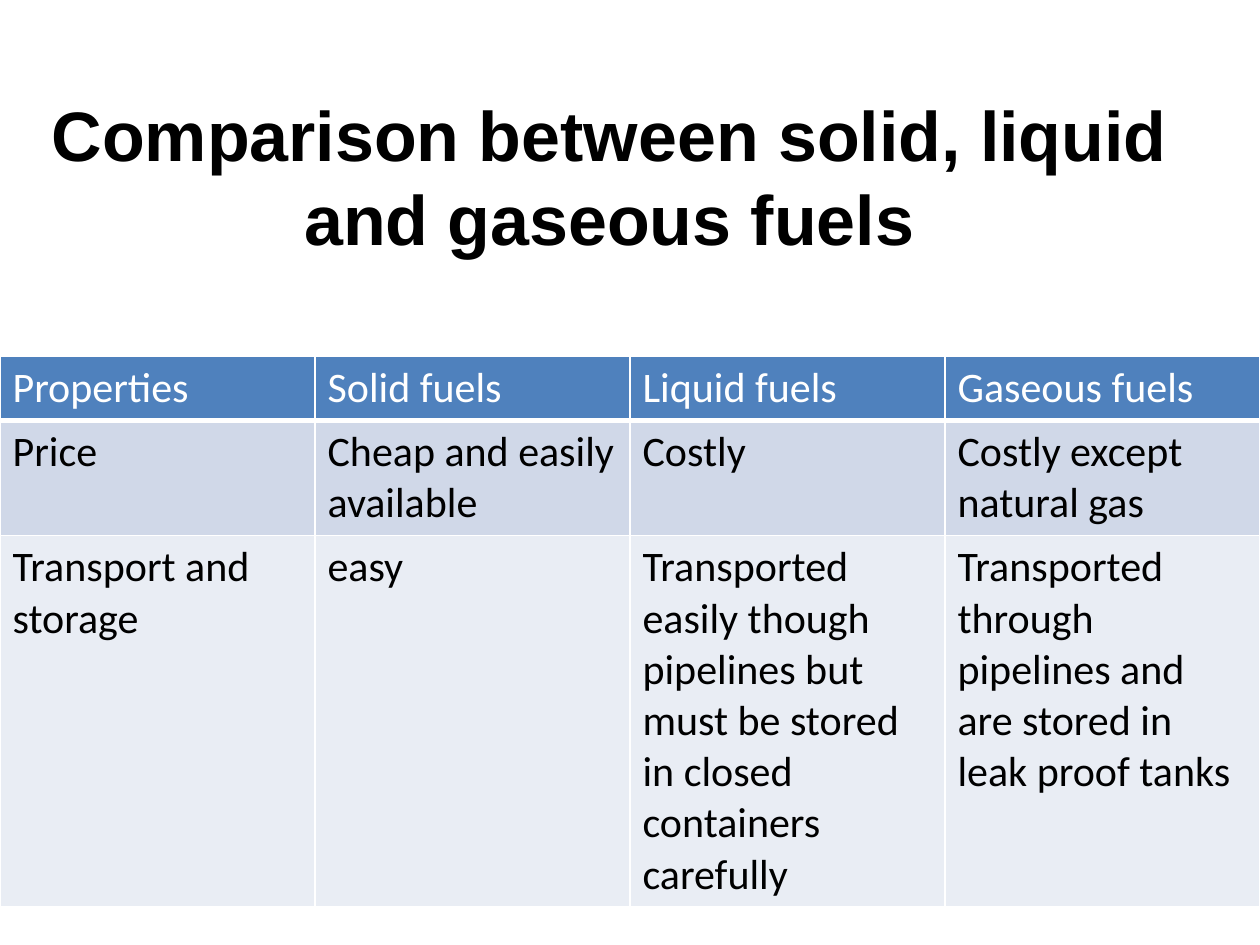
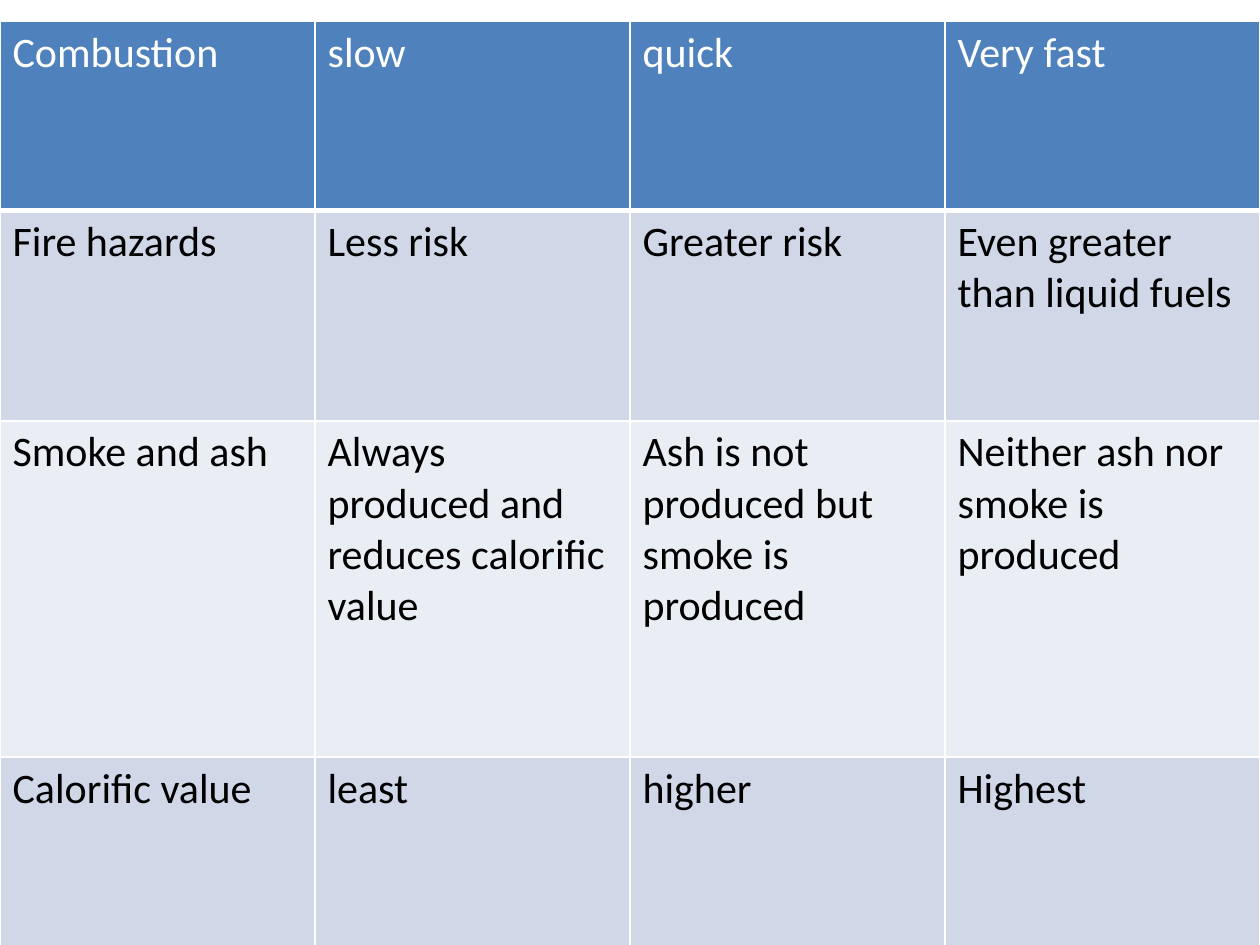
from dataclasses import dataclass

from lxml import etree
from pptx import Presentation
from pptx.dml.color import RGBColor
from pptx.enum.text import MSO_ANCHOR, PP_ALIGN
from pptx.oxml.ns import qn
from pptx.util import Inches, Pt

MIDDLE = MSO_ANCHOR.MIDDLE
CENTER = PP_ALIGN.CENTER
COVER, BLANK = 0, 6


@dataclass(frozen=True)
class Theme:
    ink: str = "000000"
    paper: str = "FFFFFF"
    head: str = "4F81BD"
    bands: tuple = ("D0D8E8", "E9EDF4")
    title_font: str = "Arial"
    body_font: str = "Calibri"
    title_size: int = 40
    title_pitch: int = 48
    body_size: int = 24
    rule: int = 1
    head_rule: int = 3


class Deck:
    def __init__(self, theme):
        self.theme = theme
        self.prs = Presentation()
        self.prs.slide_width = Inches(10)
        self.prs.slide_height = Inches(7.5)
        self.slide = None

    def add_slide(self, layout):
        self.slide = self.prs.slides.add_slide(self.prs.slide_layouts[layout])
        fill = self.slide.background.fill
        fill.solid()
        fill.fore_color.rgb = RGBColor.from_string(self.theme.paper)
        for holder in list(self.slide.placeholders):
            if holder != self.slide.shapes.title:
                holder.element.getparent().remove(holder.element)

    def style(self, para, font, size, color, bold=False):
        for run in para.runs:
            run.font.name = font
            run.font.size = Pt(size)
            run.font.bold = bold
            run.font.color.rgb = RGBColor.from_string(color)

    def title(self, text):
        """Fill the title holder, with its text kept above the table."""
        theme = self.theme
        box = self.slide.shapes.title
        box.left, box.top = Inches(0), Inches(0)
        box.width, box.height = Inches(9.67), Inches(7.17)
        frame = box.text_frame
        frame.text = text
        frame.word_wrap = True
        frame.vertical_anchor = MIDDLE
        frame.margin_bottom = Inches(4.44)
        para = frame.paragraphs[0]
        para.alignment = CENTER
        para.line_spacing = Pt(theme.title_pitch)
        self.style(para, theme.title_font, theme.title_size, theme.ink, True)

    def border(self, cell, base):
        """Draw the four sides of a cell, the lower one base points wide."""
        props = cell._tc.get_or_add_tcPr()
        rule = self.theme.rule
        widths = {"lnL": rule, "lnR": rule, "lnT": rule, "lnB": base}
        for spot, (side, width) in enumerate(widths.items()):
            line = etree.Element(qn(f"a:{side}"), w=str(Pt(width)))
            fill = etree.SubElement(line, qn("a:solidFill"))
            etree.SubElement(fill, qn("a:srgbClr"), val=self.theme.paper)
            props.insert(spot, line)

    def cell(self, cell, text, row):
        theme = self.theme
        head = row == 0
        back = theme.head if head else theme.bands[(row - 1) % 2]
        cell.text = text
        cell.fill.solid()
        cell.fill.fore_color.rgb = RGBColor.from_string(back)
        self.border(cell, theme.head_rule if head else theme.rule)
        self.style(cell.text_frame.paragraphs[0], theme.body_font,
                   theme.body_size, theme.paper if head else theme.ink)

    def table(self, top, height, sizes, rows):
        """Add a table of the slide's full width with equal columns."""
        count = len(rows[0])
        table = self.slide.shapes.add_table(
            len(rows), count, Inches(0), Inches(top),
            self.prs.slide_width, Inches(height)).table
        for col in table.columns:
            col.width = self.prs.slide_width // count
        for r, (size, texts) in enumerate(zip(sizes, rows)):
            table.rows[r].height = Inches(size)
            for c, text in enumerate(texts):
                self.cell(table.cell(r, c), text, r)


def main():
    deck = Deck(Theme())

    deck.add_slide(COVER)
    deck.title("Comparison between solid, liquid and gaseous fuels")
    deck.table(2.83, 4.3, (0.46, 0.8, 2.47), [
        ("Properties", "Solid fuels", "Liquid fuels", "Gaseous fuels"),
        ("Price", "Cheap and easily available", "Costly",
         "Costly except natural gas"),
        ("Transport and storage", "easy",
         "Transported easily though pipelines but must be stored in closed "
         "containers carefully",
         "Transported through pipelines and are stored in leak proof tanks"),
    ])

    deck.add_slide(BLANK)
    deck.table(0.17, 7.33, (1.5, 1.67, 2.67, 1.5), [
        ("Combustion", "slow", "quick", "Very fast"),
        ("Fire hazards", "Less risk", "Greater risk",
         "Even greater than liquid fuels"),
        ("Smoke and ash", "Always produced and reduces calorific value",
         "Ash is not produced but smoke is produced",
         "Neither ash nor smoke is produced"),
        ("Calorific value", "least", "higher", "Highest"),
    ])

    deck.prs.save("out.pptx")


if __name__ == "__main__":
    main()
